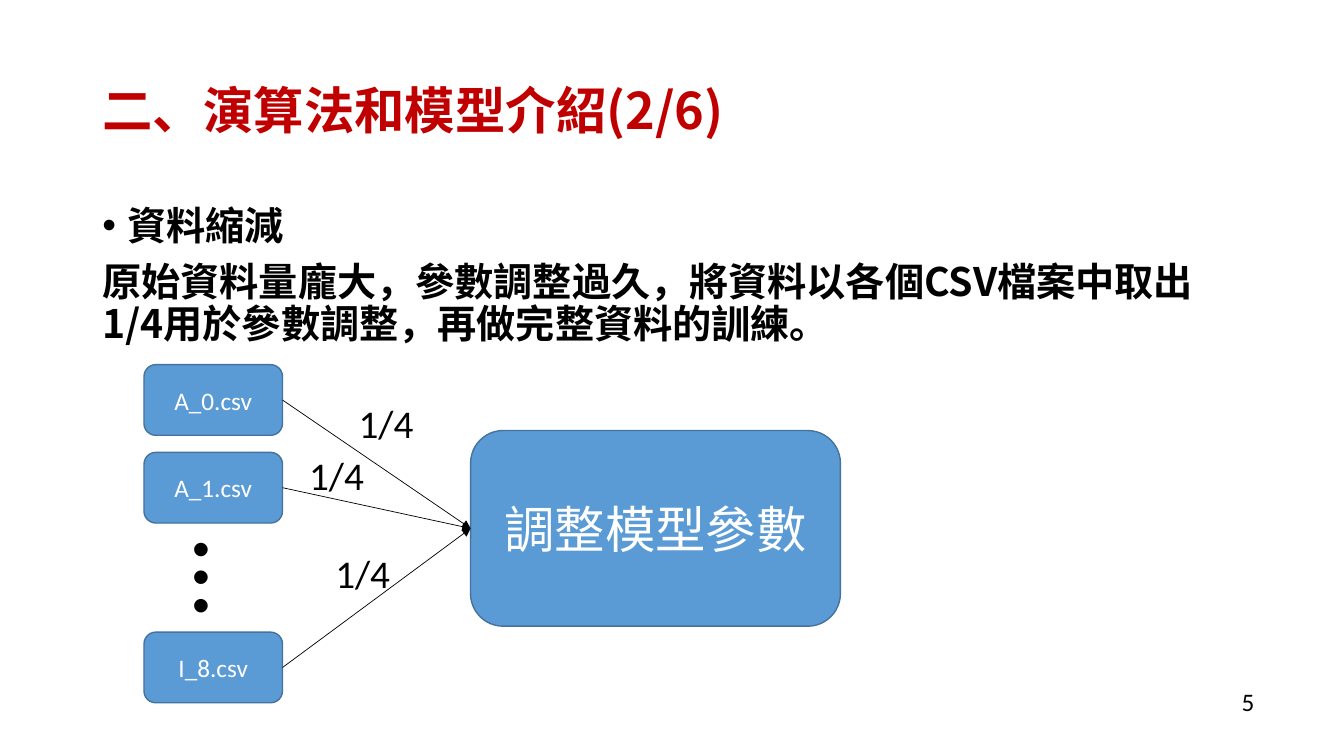
from lxml import etree
from pptx import Presentation
from pptx.dml.color import RGBColor
from pptx.enum.shapes import MSO_CONNECTOR, MSO_SHAPE
from pptx.enum.text import MSO_ANCHOR, MSO_AUTO_SIZE, PP_ALIGN
from pptx.oxml.ns import qn
from pptx.util import Cm, Pt

RED = RGBColor(0xC0, 0x00, 0x00)
BLACK = RGBColor(0x00, 0x00, 0x00)
WHITE = RGBColor(0xFF, 0xFF, 0xFF)
BLUE = RGBColor(0x5B, 0x9B, 0xD5)
DARK_BLUE = RGBColor(0x43, 0x73, 0x9E)

ROUNDED = MSO_SHAPE.ROUNDED_RECTANGLE
STRAIGHT = MSO_CONNECTOR.STRAIGHT
LEFT, CENTER = PP_ALIGN.LEFT, PP_ALIGN.CENTER
TOP, MIDDLE = MSO_ANCHOR.TOP, MSO_ANCHOR.MIDDLE
NO_FIT = MSO_AUTO_SIZE.NONE

CJK = "Noto Sans CJK SC"
LATIN = "Calibri"
TITLE = {"name": CJK, "size": Pt(36), "bold": True}
BODY = {"name": CJK, "size": Pt(28), "bold": True}
FILE = {"name": LATIN, "size": Pt(18)}
MODEL = {"name": LATIN, "size": Pt(36)}
SHARE = {"name": LATIN, "size": Pt(28)}
DOTS = {"name": LATIN, "size": Pt(80)}
NUMBER = {"name": LATIN, "size": Pt(18)}

FILE_W, FILE_H = 3.49, 1.78
FILES = [("A_0.csv", 0), ("A_1.csv", 2.21), ("I_8.csv", 6.74)]
SHARES = [(5.16, 0.74), (3.91, 2.06), (4.57, 4.53)]


def write(p, text, font, color, **layout):
    """Write one formatted run into a paragraph."""
    r = p.add_run()
    r.text = text
    for key, value in font.items():
        setattr(r.font, key, value)
    r.font.color.rgb = color
    ea = etree.SubElement(r.font._element, qn("a:ea"))
    ea.set("typeface", CJK)
    for key, value in layout.items():
        setattr(p, key, value)


def add_text(s, box, text, font, wrap=True):
    """Add a text box with a single black paragraph."""
    sp = s.shapes.add_textbox(*map(Cm, box))
    sp.text_frame.word_wrap = wrap
    write(sp.text_frame.paragraphs[0], text, font, BLACK)
    return sp


def add_box(s, box, text, font):
    """Add a blue rounded box with centred text."""
    sp = s.shapes.add_shape(ROUNDED, *map(Cm, box))
    sp.shadow.inherit = False
    sp.fill.solid()
    sp.fill.fore_color.rgb = BLUE
    sp.line.color.rgb = DARK_BLUE
    sp.line.width = Pt(1)
    sp.text_frame.word_wrap = True
    sp.text_frame.vertical_anchor = MIDDLE
    write(sp.text_frame.paragraphs[0], text, font, WHITE, alignment=CENTER)
    return sp


def add_arrow(s, source, target):
    """Join the right side of one box to the left side of another."""
    line = s.shapes.add_connector(STRAIGHT, 0, 0, 0, 0)
    line.begin_connect(source, 3)
    line.end_connect(target, 1)
    line.line.color.rgb = BLACK
    line.line.width = Pt(0.5)
    etree.SubElement(line.line._get_or_add_ln(), qn("a:tailEnd")).set("type", "triangle")
    etree.SubElement(line._element.spPr, qn("a:effectLst"))


def add_title(s, box, text):
    """Place and format the title placeholder."""
    sp = s.shapes.title
    sp.left, sp.top, sp.width, sp.height = map(Cm, box)
    tf = sp.text_frame
    tf.vertical_anchor = MIDDLE
    tf.auto_size = NO_FIT
    write(tf.paragraphs[0], text, TITLE, RED, alignment=LEFT, line_spacing=0.9)


def add_body(s, box, heading, detail):
    """Add the bulleted heading and the paragraph below it."""
    sp = s.shapes.add_textbox(*map(Cm, box))
    tf = sp.text_frame
    tf.word_wrap = True
    tf.vertical_anchor = TOP
    bullet = tf.paragraphs[0]
    for p, text in ((bullet, heading), (tf.add_paragraph(), detail)):
        write(p, text, BODY, BLACK, line_spacing=0.9, space_before=Pt(10))
    pPr = bullet._p.get_or_add_pPr()
    pPr.set("marL", str(Cm(0.635)))
    pPr.set("indent", str(-Cm(0.635)))
    etree.SubElement(pPr, qn("a:buFont")).set("typeface", "Arial")
    etree.SubElement(pPr, qn("a:buChar")).set("char", "•")


def add_diagram(s, box):
    """Draw the files that feed the parameter tuning box."""
    x, y, w, h = box
    model_w, model_h = 9.32, 4.93
    model = add_box(s, (x + w - model_w, y + 1.66, model_w, model_h), "調整模型參數", MODEL)
    for name, dy in FILES:
        source = add_box(s, (x, y + dy, FILE_W, FILE_H), name, FILE)
        add_arrow(s, source, model)
    dots = add_text(s, (x + 1.17, y + 3.56, 2.49, 3.68), "…", DOTS, wrap=False)
    dots.rotation = 90
    for dx, dy in SHARES:
        add_text(s, (x + dx, y + dy, 2.34, 1.45), "1/4", SHARE)


def main():
    """Build and save the slide."""
    prs = Presentation()
    prs.slide_width, prs.slide_height = Cm(33.87), Cm(19.05)
    s = prs.slides.add_slide(prs.slide_layouts[5])
    add_title(s, (2.33, 1.01, 29.21, 3.68), "二、演算法和模型介紹(2/6)")
    add_body(s, (2.33, 5.07, 29.21, 12.09), "資料縮減",
             "原始資料量龐大，參數調整過久，將資料以各個CSV檔案中取出1/4用於參數調整，再做完整資料的訓練。")
    add_diagram(s, (3.63, 9.19, 17.55, 8.52))
    add_text(s, (31.04, 17.17, 2.16, 1.02), "5", NUMBER)
    prs.save("out.pptx")


if __name__ == "__main__":
    main()
